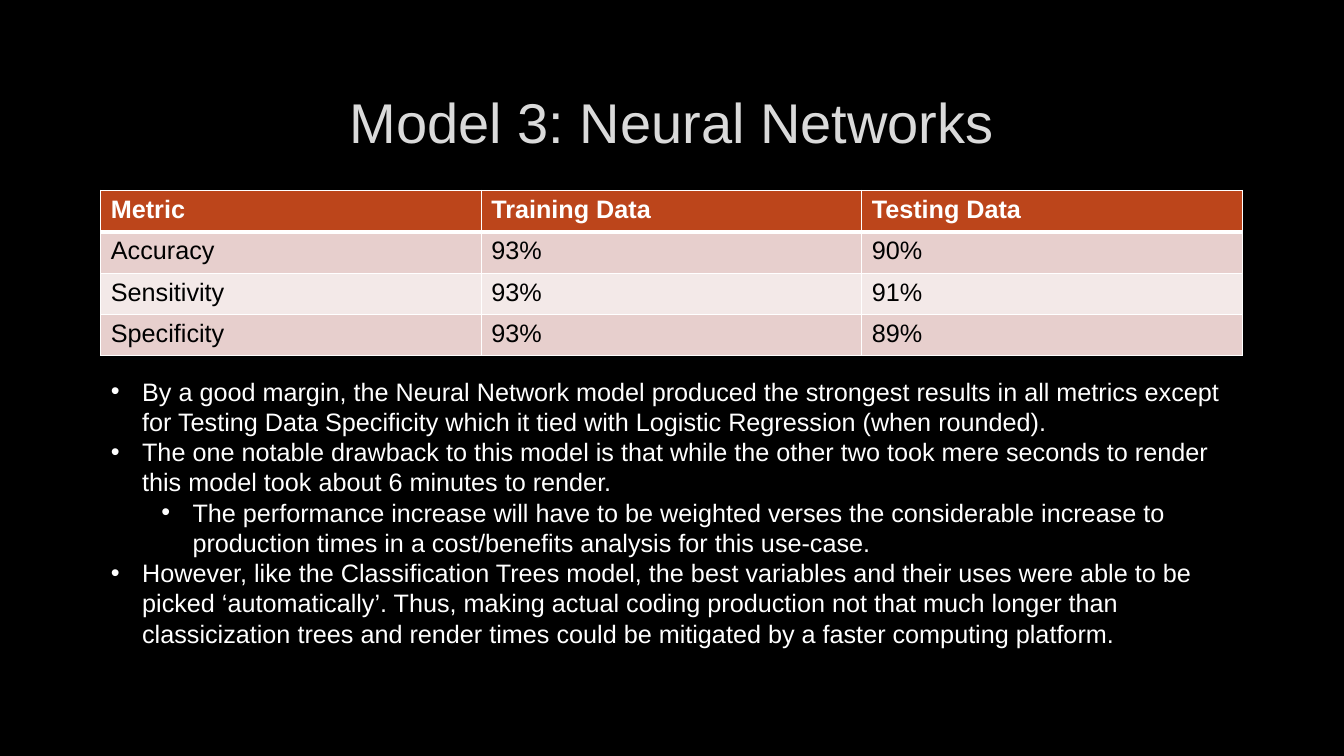
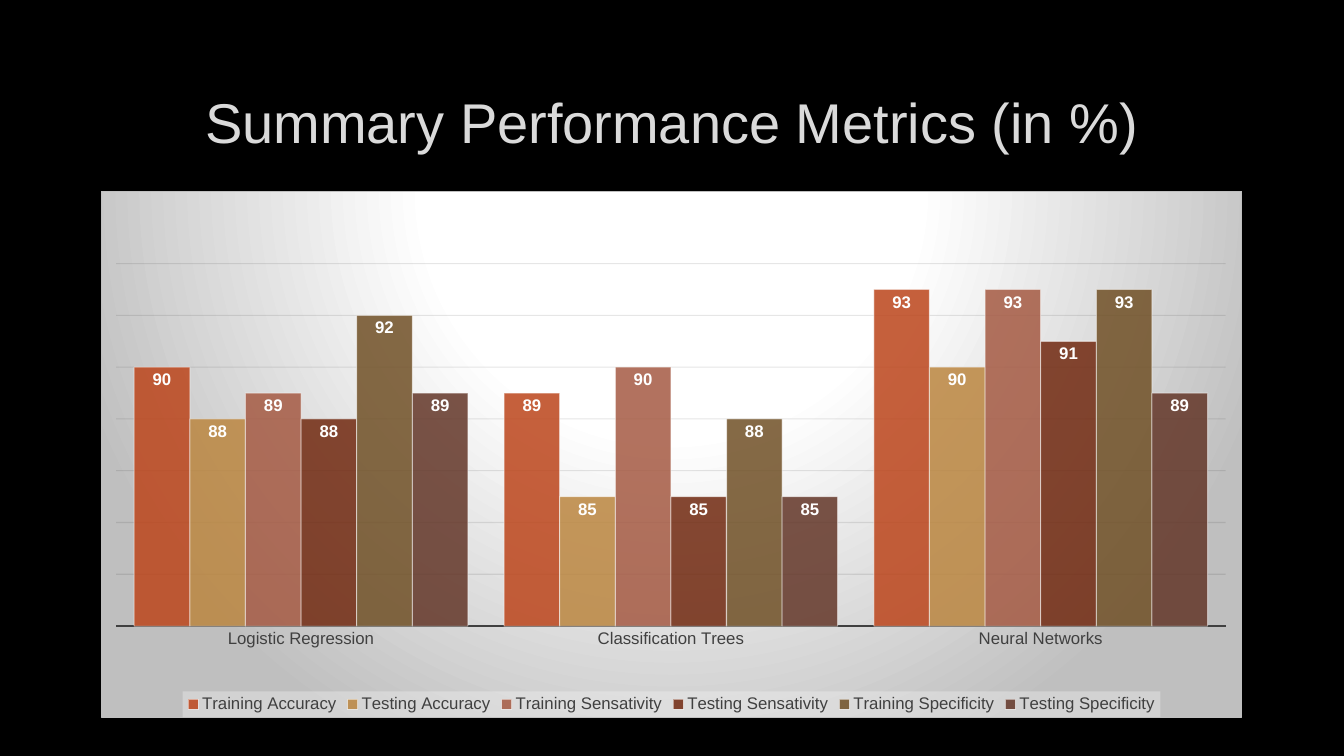
"""Build two slides on model performance: a metrics table with notes, and a summary chart."""
from lxml import etree
from pptx import Presentation
from pptx.chart.data import CategoryChartData
from pptx.dml.color import RGBColor
from pptx.enum.chart import XL_CHART_TYPE as CT, XL_LABEL_POSITION as LABEL_POS
from pptx.enum.chart import XL_LEGEND_POSITION as LEGEND_POS, XL_TICK_MARK as TICK
from pptx.enum.text import MSO_ANCHOR, MSO_AUTO_SIZE, PP_ALIGN
from pptx.oxml import parse_xml
from pptx.oxml.ns import nsdecls, qn
from pptx.util import Inches, Pt

FONT = "Arial"
BLACK = RGBColor(0x00, 0x00, 0x00)
WHITE = RGBColor(0xFF, 0xFF, 0xFF)
TITLE_GRAY = RGBColor(0xDA, 0xDA, 0xDA)
DARK_GRAY = RGBColor(0x40, 0x40, 0x40)
EDGE_GRAY = RGBColor(0xBF, 0xBF, 0xBF)
LEGEND_GRAY = RGBColor(0xF2, 0xF2, 0xF2)
GRID = RGBColor(0x0D, 0x0D, 0x0D)
RUST = RGBColor(0xBC, 0x45, 0x1B)
BAND_DARK = RGBColor(0xE7, 0xCF, 0xCD)
BAND_LIGHT = RGBColor(0xF3, 0xE9, 0xE8)
GOLD = RGBColor(0xBB, 0x86, 0x40)
CLAY = RGBColor(0xA5, 0x5A, 0x43)
MAROON = RGBColor(0x71, 0x29, 0x10)
OLIVE = RGBColor(0x70, 0x50, 0x26)
BROWN = RGBColor(0x63, 0x36, 0x28)

LEFT, WIDTH = Inches(1), Inches(11.32)
TITLE_TOP, TITLE_HEIGHT = Inches(0.67), Inches(1.06)
CONTENT_TOP = Inches(1.89)
ROW_HEIGHT = Inches(0.41)
NOTES_TOP, NOTES_HEIGHT = Inches(3.68), Inches(2.83)
CHART_HEIGHT = Inches(5.23)
BULLET_HANG, LEVEL_STEP = Inches(0.31), Inches(0.5)

TABLE_TITLE = "Model 3: Neural Networks"
METRICS = [
    ("Metric", "Training Data", "Testing Data"),
    ("Accuracy", "93%", "90%"),
    ("Sensitivity", "93%", "91%"),
    ("Specificity", "93%", "89%"),
]
NOTES = [
    (0, "By a good margin, the Neural Network model produced the strongest results in all "
        "metrics except for Testing Data Specificity which it tied with Logistic Regression "
        "(when rounded)."),
    (0, "The one notable drawback to this model is that while the other two took mere seconds "
        "to render this model took about 6 minutes to render."),
    (1, "The performance increase will have to be weighted verses the considerable increase to "
        "production times in a cost/benefits analysis for this use-case."),
    (0, "However, like the Classification Trees model, the best variables and their uses were "
        "able to be picked ‘automatically’. Thus, making actual coding production not that much "
        "longer than classicization trees and render times could be mitigated by a faster "
        "computing platform."),
]
CHART_TITLE = "Summary Performance Metrics (in %)"
MODELS = ["Logistic Regression", "Classification Trees", "Neural Networks"]
SERIES = [
    ("Training Accuracy", (90, 89, 93), RUST),
    ("Testing Accuracy", (88, 85, 90), GOLD),
    ("Training Sensativity", (89, 90, 93), CLAY),
    ("Testing Sensativity", (88, 85, 91), MAROON),
    ("Training Specificity", (92, 88, 93), OLIVE),
    ("Testing Specificity", (89, 85, 89), BROWN),
]
PLOT_AREA = {"x": 0.013, "y": 0.138, "w": 0.973, "h": 0.689}


def style_font(font, size, color, bold=False):
    font.name, font.size, font.bold = FONT, Pt(size), bold
    font.color.rgb = color


def add_run(p, text, size, color, bold=False):
    r = p.add_run()
    r.text = text
    style_font(r.font, size, color, bold)
    return r


def place(sp, left, top, width, height):
    sp.left, sp.top, sp.width, sp.height = left, top, width, height


def add_slide(prs, layout, title):
    slide = prs.slides.add_slide(prs.slide_layouts.get_by_name(layout))
    sp = slide.shapes.title
    place(sp, LEFT, TITLE_TOP, WIDTH, TITLE_HEIGHT)
    tf = sp.text_frame
    tf.vertical_anchor, tf.auto_size = MSO_ANCHOR.MIDDLE, MSO_AUTO_SIZE.NONE
    p = tf.paragraphs[0]
    p.alignment = PP_ALIGN.CENTER
    r = add_run(p, title, 40, TITLE_GRAY)
    r._r.get_or_add_rPr().insert(0, parse_xml(
        f'<a:ln {nsdecls("a")} w="{Pt(0.75)}"><a:solidFill><a:srgbClr val="{DARK_GRAY}">'
        '<a:alpha val="10000"/></a:srgbClr></a:solidFill></a:ln>'))
    return slide


def set_borders(cell, bottom):
    tc_pr = cell._tc.get_or_add_tcPr()
    for i, side in enumerate("LRTB"):
        width = Pt(bottom if side == "B" else 1)
        tc_pr.insert(i, parse_xml(
            f'<a:ln{side} {nsdecls("a")} w="{width}"><a:solidFill>'
            f'<a:srgbClr val="{WHITE}"/></a:solidFill></a:ln{side}>'))


def add_metrics(slide):
    rows, cols = len(METRICS), len(METRICS[0])
    table = slide.shapes.add_table(
        rows, cols, LEFT, CONTENT_TOP, WIDTH, ROW_HEIGHT * rows).table
    for i, values in enumerate(METRICS):
        header = i == 0
        band = RUST if header else BAND_DARK if i % 2 else BAND_LIGHT
        for j, text in enumerate(values):
            cell = table.cell(i, j)
            cell.fill.solid()
            cell.fill.fore_color.rgb = band
            set_borders(cell, 3 if header else 1)
            add_run(cell.text_frame.paragraphs[0], text, 18, WHITE if header else BLACK, header)


def add_notes(slide):
    sp = slide.placeholders[1]
    place(sp, LEFT, NOTES_TOP, WIDTH, NOTES_HEIGHT)
    tf = sp.text_frame
    tf.auto_size = MSO_AUTO_SIZE.NONE
    for i, (level, text) in enumerate(NOTES):
        p = tf.add_paragraph() if i else tf.paragraphs[0]
        p.level, p.space_before, p.line_spacing = level, Pt(0), Pt(21.6)
        add_run(p, text, 18, WHITE)
        p_pr = p._p.get_or_add_pPr()
        p_pr.set("marL", str(BULLET_HANG + level * LEVEL_STEP))
        p_pr.set("indent", str(-BULLET_HANG))
        etree.SubElement(p_pr, qn("a:buFont")).set("typeface", FONT)
        etree.SubElement(p_pr, qn("a:buChar")).set("char", "•")


def fade(space, xpath, percent):
    for color in space.xpath(xpath):
        etree.SubElement(color, qn("a:alpha")).set("val", str(percent * 1000))


def style_chart_areas(space):
    stops = "".join(f'<a:gs pos="{pos * 1000}"><a:srgbClr val="{color}"/></a:gs>'
                    for pos, color in ((0, WHITE), (39, WHITE), (100, EDGE_GRAY)))
    space.find(qn("c:chart")).addnext(parse_xml(
        f'<c:spPr {nsdecls("c", "a")}><a:gradFill><a:gsLst>{stops}</a:gsLst><a:path path="circle">'
        '<a:fillToRect l="50000" t="-80000" r="50000" b="180000"/></a:path></a:gradFill>'
        f'<a:ln w="{Pt(0.75)}"><a:solidFill><a:srgbClr val="{EDGE_GRAY}"/></a:solidFill></a:ln>'
        '</c:spPr>'))
    plot_area = space.xpath("c:chart/c:plotArea")[0]
    for layout in plot_area.findall(qn("c:layout")):
        plot_area.remove(layout)
    modes = '<c:xMode val="edge"/><c:yMode val="edge"/>'
    sizes = "".join(f'<c:{key} val="{value}"/>' for key, value in PLOT_AREA.items())
    plot_area.insert(0, parse_xml(
        f'<c:layout {nsdecls("c")}><c:manualLayout><c:layoutTarget val="inner"/>'
        f'{modes}{sizes}</c:manualLayout></c:layout>'))
    legend = space.xpath("c:chart/c:legend")[0]
    legend.find(qn("c:txPr")).addprevious(parse_xml(
        f'<c:spPr {nsdecls("c", "a")}><a:solidFill><a:srgbClr val="{LEGEND_GRAY}">'
        '<a:alpha val="39000"/></a:srgbClr></a:solidFill></c:spPr>'))


def add_summary(slide):
    data = CategoryChartData()
    data.categories = MODELS
    for name, values, _ in SERIES:
        data.add_series(name, values)
    chart = slide.shapes.add_chart(
        CT.COLUMN_CLUSTERED, LEFT, CONTENT_TOP, WIDTH, CHART_HEIGHT, data).chart
    chart.has_title = False
    style_font(chart.font, 10, WHITE)
    chart.has_legend = True
    chart.legend.position = LEGEND_POS.BOTTOM
    chart.legend.include_in_layout = False
    style_font(chart.legend.font, 12, DARK_GRAY)

    cat, val = chart.category_axis, chart.value_axis
    cat.major_tick_mark = cat.minor_tick_mark = TICK.NONE
    style_font(cat.tick_labels.font, 12, DARK_GRAY)
    cat.format.line.color.rgb, cat.format.line.width = DARK_GRAY, Pt(1.5)
    val.minimum_scale, val.maximum_scale, val.major_unit = 80, 94, 2
    val.has_major_gridlines = True
    grid = val.major_gridlines.format.line
    grid.color.rgb, grid.width = GRID, Pt(0.75)
    val.visible = False

    plot = chart.plots[0]
    plot.gap_width, plot.overlap, plot.vary_by_categories = 65, 0, False
    for series, (_, _, color) in zip(plot.series, SERIES):
        series.format.fill.solid()
        series.format.fill.fore_color.rgb = color
        series.format.line.color.rgb, series.format.line.width = WHITE, Pt(0.75)
        labels = series.data_labels
        labels.show_value, labels.position = True, LABEL_POS.INSIDE_END
        style_font(labels.font, 12, WHITE, True)
    space = chart._chartSpace
    fade(space, "//c:ser/c:spPr/a:solidFill/a:srgbClr", 85)
    fade(space, "//c:ser/c:spPr/a:ln/a:solidFill/a:srgbClr", 50)
    fade(space, "//c:majorGridlines//a:srgbClr", 10)
    style_chart_areas(space)


def main():
    prs = Presentation()
    prs.slide_width, prs.slide_height = Inches(13.33), Inches(7.5)
    background = prs.slide_master.background.fill
    background.solid()
    background.fore_color.rgb = BLACK

    slide = add_slide(prs, "Title and Content", TABLE_TITLE)
    add_metrics(slide)
    add_notes(slide)
    add_summary(add_slide(prs, "Title Only", CHART_TITLE))
    prs.save("out.pptx")


if __name__ == "__main__":
    main()
